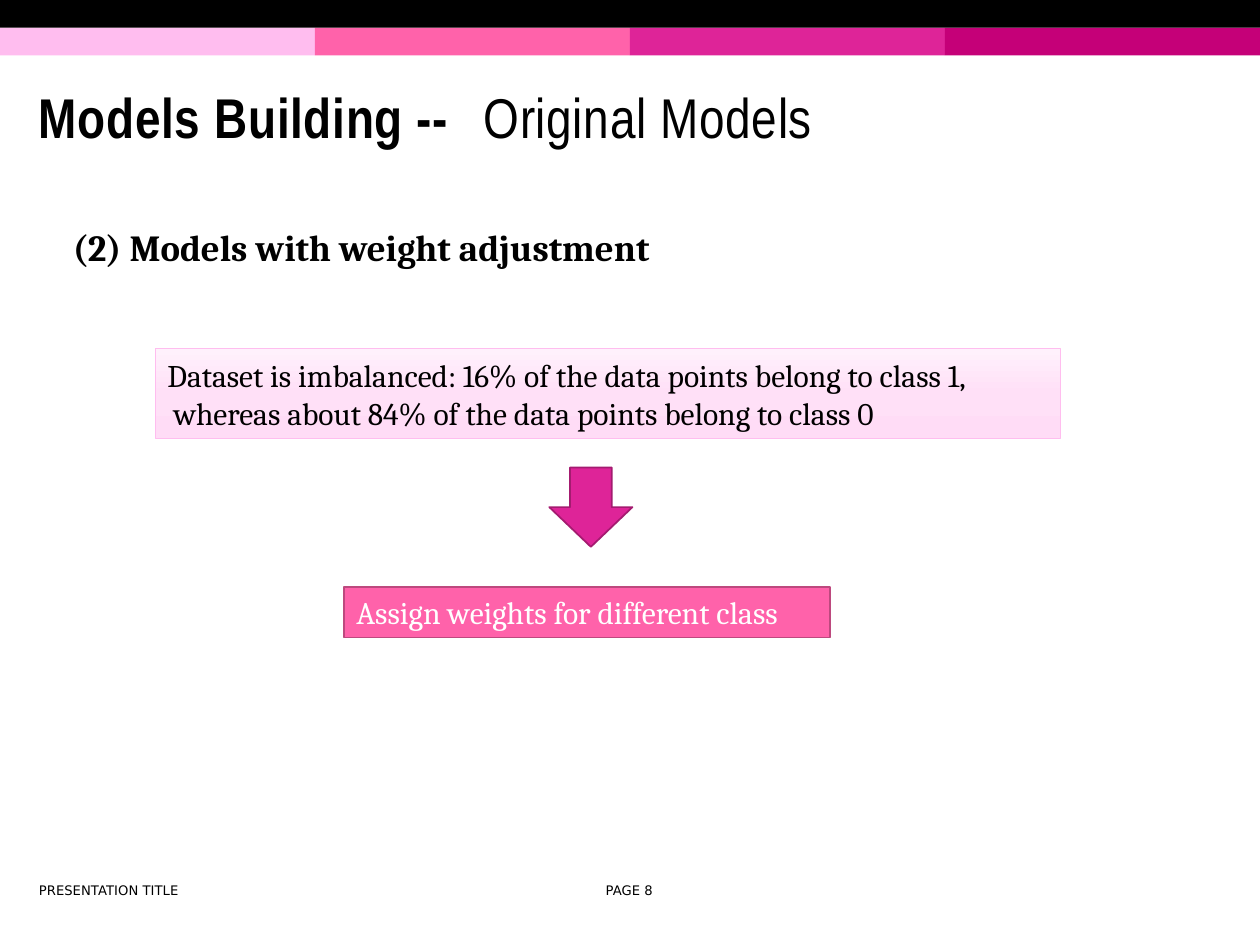
from copy import deepcopy

from lxml import etree
from pptx import Presentation
from pptx.dml.color import RGBColor
from pptx.enum.shapes import MSO_SHAPE as SHAPE
from pptx.enum.text import MSO_ANCHOR as ANCHOR, PP_ALIGN as ALIGN
from pptx.oxml.ns import qn
from pptx.util import Inches, Pt

WIDTH, HEIGHT = Inches(10), Inches(7.5)
BLACK, WHITE = "000000", "FFFFFF"
BAND = ["FFBDEF", "FF62AA", "DE2498", "C50078"]
NOTE_GRADIENT = ["FFF1FC", "FFE0F7", "FFDCF6"]
BAND_HEIGHT = 2.93

TITLE = {"name": "Arial Narrow", "size": Pt(32), "bold": True}
HEADING = {"name": "Cambria", "size": Pt(21), "bold": True}
BODY = {"name": "Cambria", "size": Pt(18)}
FOOTER = {"name": "DejaVu Sans", "size": Pt(7.5)}


def color(hex_string):
    return RGBColor.from_string(hex_string)


def place(left, top, width, height):
    """Turn percentages of the slide's size into lengths."""
    return [int(share * side / 100) for share, side in
            zip((left, top, width, height), (WIDTH, HEIGHT) * 2)]


def add_run(p, text, font, hex_string=BLACK):
    r = p.add_run()
    r.text = text
    for name, value in font.items():
        setattr(r.font, name, value)
    r.font.color.rgb = color(hex_string)
    return r


def add_box(s, at, fill, line=None, line_width=1, kind=SHAPE.RECTANGLE):
    sp = s.shapes.add_shape(kind, *place(*at))
    sp.shadow.inherit = False
    sp.fill.solid()
    sp.fill.fore_color.rgb = color(fill)
    if line:
        sp.line.color.rgb = color(line)
        sp.line.width = Pt(line_width)
    else:
        sp.line.fill.background()
    return sp


def set_gradient(sp, hex_strings):
    """Shade the shape from top to bottom with evenly spaced stops."""
    sp.fill.gradient()
    sp.fill.gradient_angle = 270
    stops = sp.fill._fill._gradFill.find(qn("a:gsLst"))
    for stop in list(stops):
        stops.remove(stop)
    for i, hex_string in enumerate(hex_strings):
        pos = 100000 * i // (len(hex_strings) - 1)
        stop = etree.SubElement(stops, qn("a:gs"), pos=str(pos))
        etree.SubElement(stop, qn("a:srgbClr"), val=hex_string)


def write_lines(sp, lines, font, hex_string=BLACK, anchor=ANCHOR.MIDDLE, align=ALIGN.LEFT):
    tf = sp.text_frame
    tf.word_wrap = True
    tf.vertical_anchor = anchor
    for i, line in enumerate(lines):
        p = tf.add_paragraph() if i else tf.paragraphs[0]
        p.alignment = align
        add_run(p, line, font, hex_string)
    return tf.paragraphs


def add_text(s, at, text, font, **layout):
    return write_lines(s.shapes.add_textbox(*place(*at)), [text], font, **layout)[0]


def indent(p, length):
    p._p.get_or_add_pPr().set("marL", str(length))


def add_title(s):
    p = add_text(s, (2.1, 6.27, 94.9, 13.07), "Models Building --", TITLE)
    p.line_spacing = 0.85
    add_run(p, "\tOriginal Models", TITLE | {"bold": False})
    for r in p.runs:
        r.font._element.set("spc", "40")
    tabs = etree.SubElement(p._p.get_or_add_pPr(), qn("a:tabLst"))
    etree.SubElement(tabs, qn("a:tab"), pos=str(Inches(3.53)), algn="l")


def add_heading(s):
    p = add_text(s, (2.1, 19.33, 72.4, 9.73), "(2) Models with weight adjustment",
                 HEADING, anchor=ANCHOR.BOTTOM)
    p.space_before = p.space_after = Pt(6)
    indent(p, Inches(0.27))


def add_flow(s):
    note = add_box(s, (12.3, 36.93, 71.9, 9.47), NOTE_GRADIENT[0], BAND[0], 0.5)
    set_gradient(note, NOTE_GRADIENT)
    lines = write_lines(note, [
        "Dataset is imbalanced: 16% of the data points belong to class 1,",
        "whereas about 84% of the data points belong to class 0"], BODY)
    indent(lines[1], Inches(0.05))

    action = add_box(s, (27.3, 62.13, 38.6, 5.33), BAND[1], "BD497E")
    write_lines(action, ["Assign weights for different class"], BODY, WHITE)
    add_box(s, (43.6, 49.47, 6.6, 8.4), BAND[2], "A41B70", kind=SHAPE.DOWN_ARROW)


def main():
    prs = Presentation()
    prs.slide_width, prs.slide_height = WIDTH, HEIGHT
    s = prs.slides.add_slide(prs.slide_layouts[6])

    column = 100 / len(BAND)
    for i, hex_string in enumerate(BAND):
        add_box(s, (i * column, BAND_HEIGHT, column, BAND_HEIGHT), hex_string)
    add_box(s, (0, 0, 100, BAND_HEIGHT), BLACK)

    add_heading(s)
    add_title(s)
    add_text(s, (2.1, 92.4, 42.9, 3.6), "PRESENTATION TITLE", FOOTER)
    add_text(s, (45.8, 92.4, 8.3, 3.6), "PAGE 8", FOOTER, align=ALIGN.CENTER)
    add_flow(s)
    prs.save("out.pptx")


if __name__ == "__main__":
    main()
